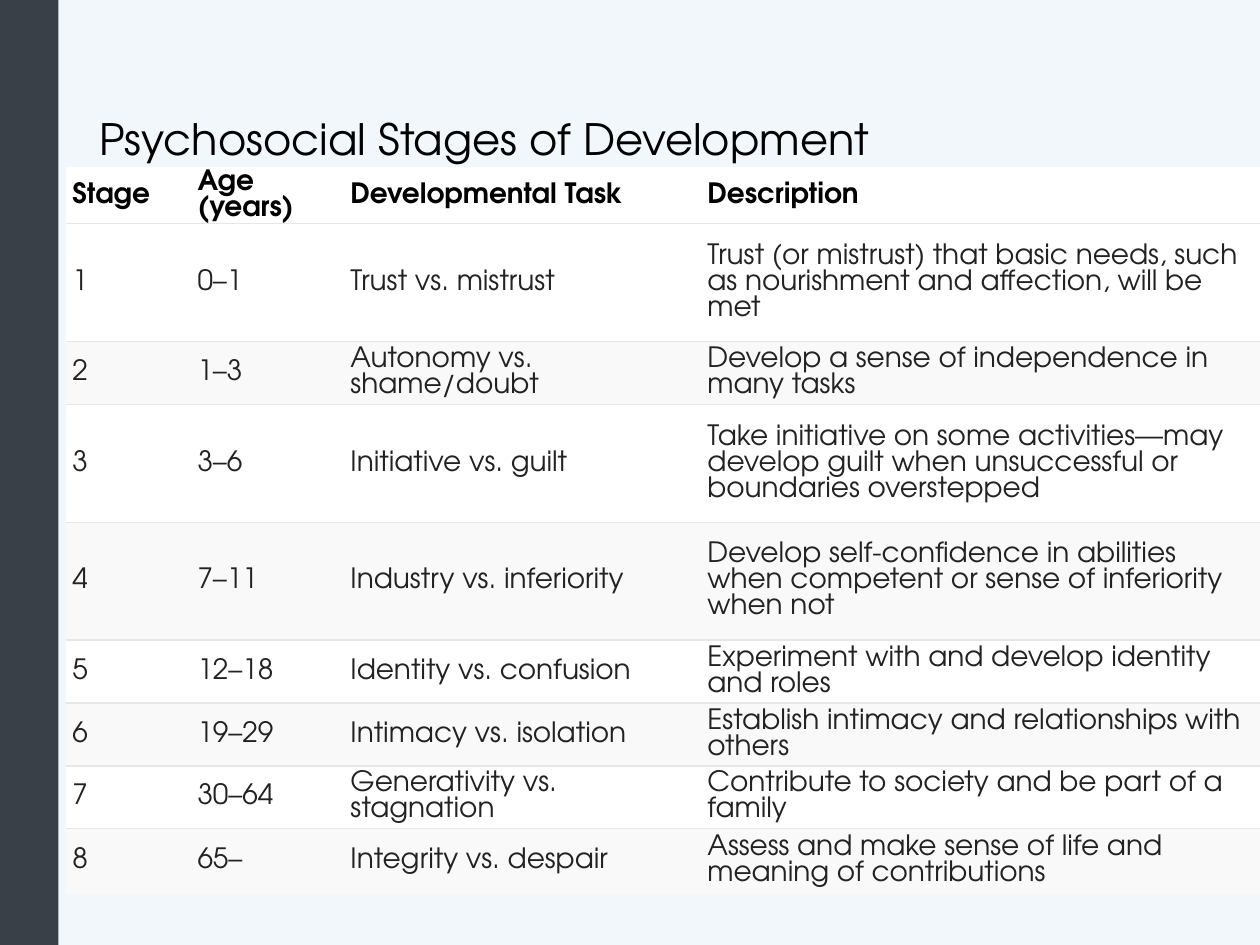
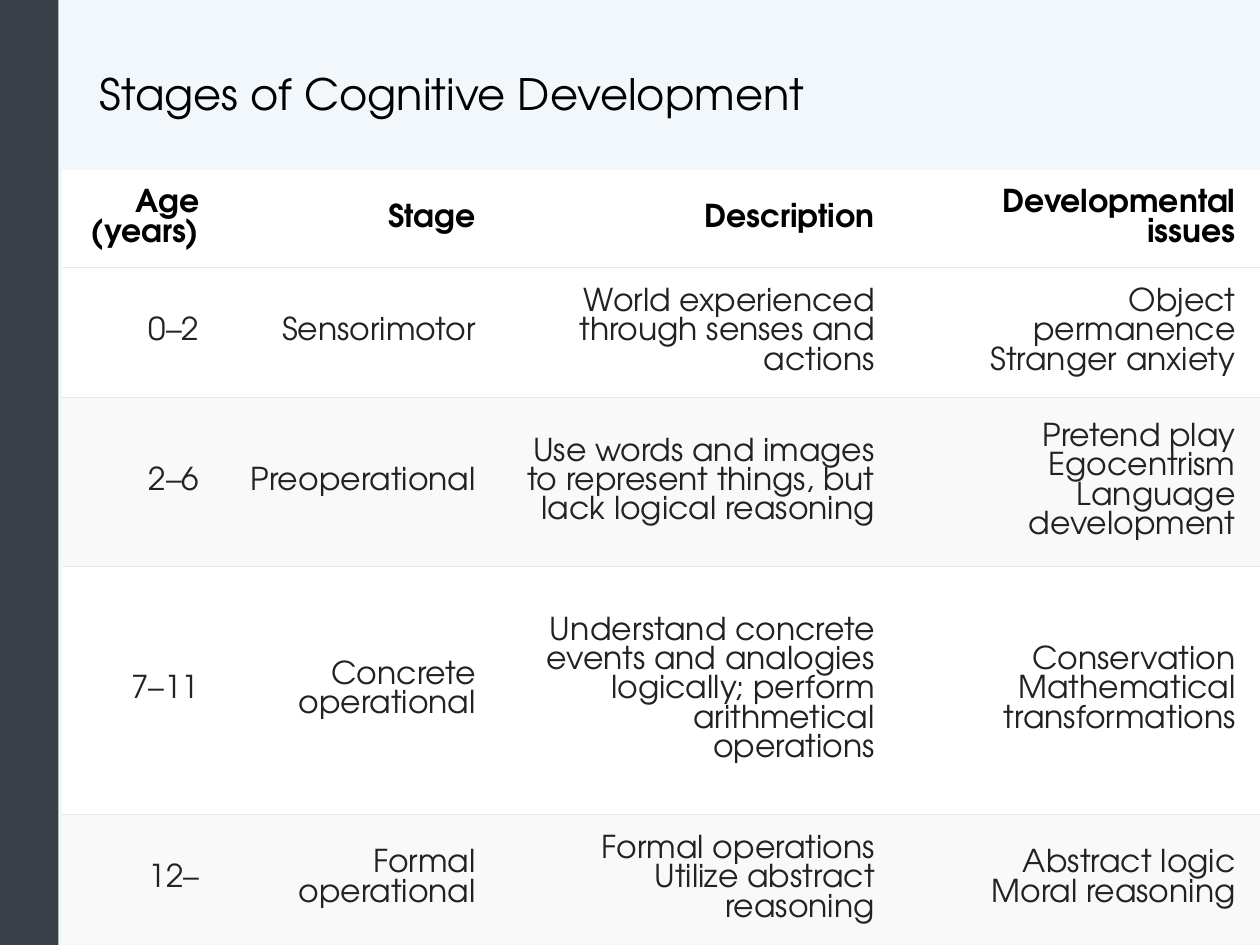
"""Build two slides that tabulate stages of human development."""
from dataclasses import dataclass

import lxml.etree
import pptx
import pptx.dml.color
import pptx.enum.shapes
import pptx.enum.text
import pptx.oxml.ns
import pptx.util

Pt = pptx.util.Pt
RGB = pptx.dml.color.RGBColor.from_string
Align = pptx.enum.text.PP_ALIGN
Anchor = pptx.enum.text.MSO_ANCHOR
qn = pptx.oxml.ns.qn


@dataclass(frozen=True)
class Theme:
    font: str = "TeX Gyre Adventor"
    background: str = "F1F7FB"
    sidebar: str = "3A4047"
    heading: str = "000000"
    body: str = "222222"
    rule: str = "E7E7E7"
    row_fills: tuple = ("FFFFFF", "F9F9F9")
    title_size: float = 24.7
    psychosocial_size: float = 16
    cognitive_size: float = 18


theme = Theme()
PLAIN_TABLE_STYLE = "{2D5ABB26-0587-4C30-8999-92F81FD0307C}"
SLIDE_WIDTH, SLIDE_HEIGHT = 720, 540

slides = [
    {
        "title": "Psychosocial Stages of Development",
        "title_top": 28.8,
        "title_height": 104.4,
        "table_at": (37.8, 95.3),
        "columns": [71.5, 87.4, 204, 319.7],
        "rows": [27.4, 67.5, 36, 67.2, 67.2, 36, 36, 35.6, 37.7],
        "size": theme.psychosocial_size,
        "line_spacing": Pt(14.85),
        "align": Align.LEFT,
        "side_margin": 3.6,
        "header_margin": 1.44,
        "body_margin": 0.72,
        "cells": [
            ("Stage", "Age (years)", "Developmental Task", "Description"),
            ("1", "0–1", "Trust vs. mistrust",
             "Trust (or mistrust) that basic needs, such as nourishment and affection, will be met"),
            ("2", "1–3", "Autonomy vs. shame/doubt",
             "Develop a sense of independence in many tasks"),
            ("3", "3–6", "Initiative vs. guilt",
             "Take initiative on some activities—may develop guilt when unsuccessful or "
             "boundaries overstepped"),
            ("4", "7–11", "Industry vs. inferiority",
             "Develop self-confidence in abilities when competent or sense of inferiority when not"),
            ("5", "12–18", "Identity vs. confusion",
             "Experiment with and develop identity and roles"),
            ("6", "19–29", "Intimacy vs. isolation",
             "Establish intimacy and relationships with others"),
            ("7", "30–64", "Generativity vs. stagnation",
             "Contribute to society and be part of a family"),
            ("8", "65–", "Integrity vs. despair",
             "Assess and make sense of life and meaning of contributions"),
        ],
    },
    {
        "title": "Stages of Cognitive Development",
        "title_top": 8.6,
        "title_height": 93.6,
        "table_at": (35.5, 97.2),
        "columns": [92.8, 158, 228, 206.2],
        "rows": [55.6, 74.2, 96.8, 141.5, 74.2],
        "size": theme.cognitive_size,
        "line_spacing": None,
        "align": Align.RIGHT,
        "side_margin": 14.4,
        "header_margin": 5.04,
        "body_margin": 3.6,
        "cells": [
            ("Age (years)", "Stage", "Description", "Developmental issues"),
            ("0–2", "Sensorimotor", "World experienced through senses and actions",
             "Object permanence\nStranger anxiety"),
            ("2–6", "Preoperational",
             "Use words and images to represent things, but lack logical reasoning",
             "Pretend play\nEgocentrism\nLanguage development"),
            ("7–11", "Concrete operational",
             "Understand concrete events and analogies logically; perform arithmetical operations",
             "Conservation\nMathematical transformations"),
            ("12–", "Formal operational", "Formal operations\nUtilize abstract reasoning",
             "Abstract logic\nMoral reasoning"),
        ],
    },
]


def write(para, text, size, color, bold=False):
    para.text = text
    para.font.name = theme.font
    para.font.size = Pt(size)
    para.font.bold = bold
    para.font.color.rgb = RGB(color)


def add_rule(cell, side):
    line = lxml.etree.SubElement(cell._tc.get_or_add_tcPr(), qn(f"a:{side}"), w=str(Pt(0.75)))
    fill = lxml.etree.SubElement(line, qn("a:solidFill"))
    lxml.etree.SubElement(fill, qn("a:srgbClr"), val=theme.rule)


deck = pptx.Presentation()
deck.slide_width = Pt(SLIDE_WIDTH)
deck.slide_height = Pt(SLIDE_HEIGHT)

for content in slides:
    page = deck.slides.add_slide(deck.slide_layouts[6])
    page.background.fill.solid()
    page.background.fill.fore_color.rgb = RGB(theme.background)

    sidebar = page.shapes.add_shape(
        pptx.enum.shapes.MSO_SHAPE.RECTANGLE, 0, 0, Pt(33.4), Pt(SLIDE_HEIGHT))
    sidebar.shadow.inherit = False
    sidebar.fill.solid()
    sidebar.fill.fore_color.rgb = RGB(theme.sidebar)
    sidebar.line.fill.background()

    title = page.shapes.add_textbox(
        Pt(49.7), Pt(content["title_top"]), Pt(620.6), Pt(content["title_height"]))
    title.text_frame.word_wrap = True
    title.text_frame.vertical_anchor = Anchor.MIDDLE
    title_para = title.text_frame.paragraphs[0]
    title_para.line_spacing = 0.9
    write(title_para, content["title"], theme.title_size, theme.heading)

    left, top = content["table_at"]
    columns, rows = content["columns"], content["rows"]
    frame = page.shapes.add_table(
        len(rows), len(columns), Pt(left), Pt(top), Pt(sum(columns)), Pt(sum(rows)))
    table = frame.table
    table._tbl.tblPr.find(qn("a:tableStyleId")).text = PLAIN_TABLE_STYLE
    table.horz_banding = False
    for column, width in zip(table.columns, columns):
        column.width = Pt(width)

    for index, (row, height, texts) in enumerate(zip(table.rows, rows, content["cells"])):
        row.height = Pt(height)
        is_header = index == 0
        margin = content["header_margin"] if is_header else content["body_margin"]
        color = theme.heading if is_header else theme.body
        fill_color = theme.row_fills[0 if is_header else (index - 1) % 2]
        for cell, text in zip(row.cells, texts):
            if not is_header:
                add_rule(cell, "lnT")
            if index < len(rows) - 1:
                add_rule(cell, "lnB")
            cell.fill.solid()
            cell.fill.fore_color.rgb = RGB(fill_color)
            cell.vertical_anchor = Anchor.MIDDLE
            cell.margin_left = cell.margin_right = Pt(content["side_margin"])
            cell.margin_top = cell.margin_bottom = Pt(margin)
            para = cell.text_frame.paragraphs[0]
            para.alignment = content["align"]
            para.line_spacing = content["line_spacing"]
            write(para, text, content["size"], color, is_header)

deck.save("out.pptx")
